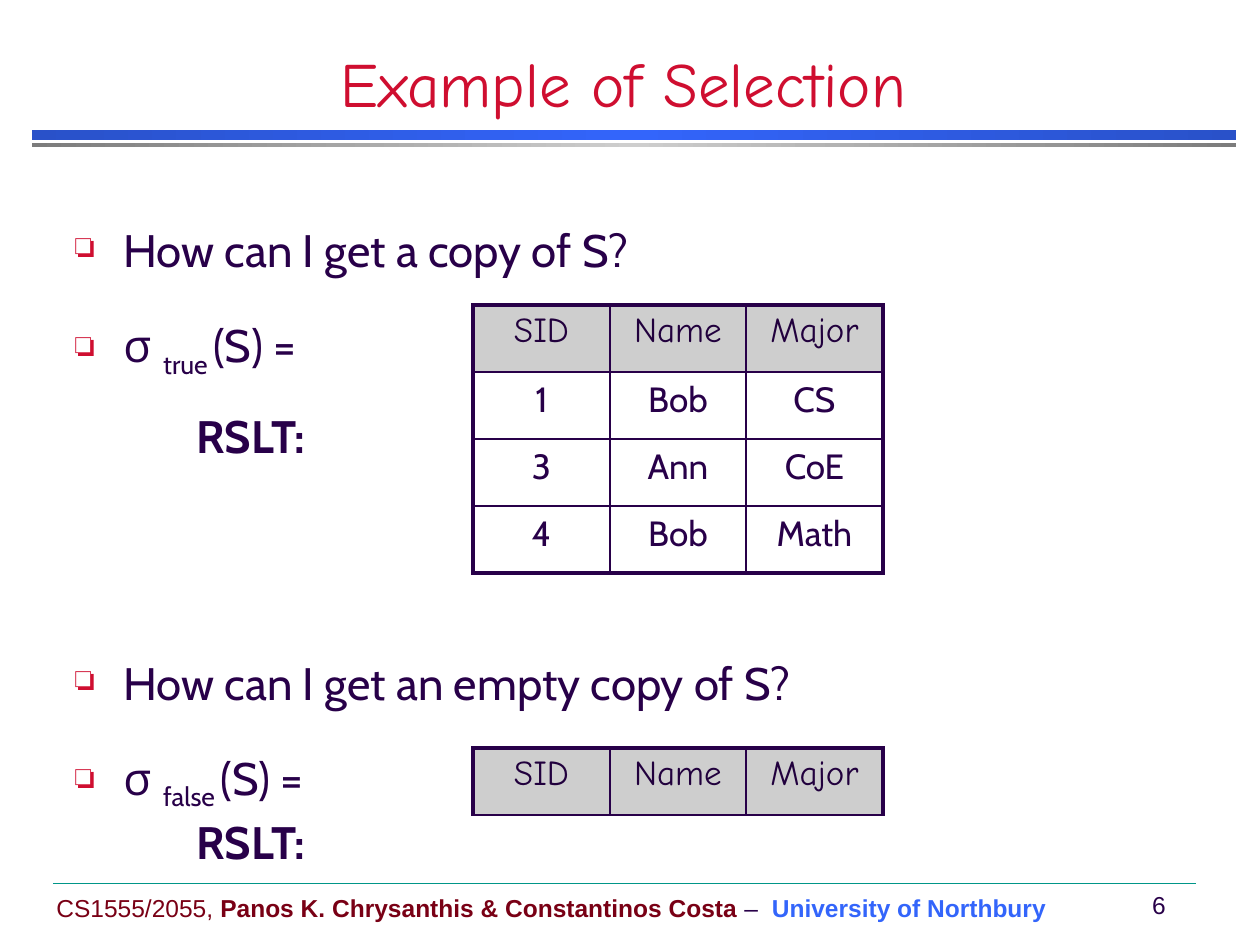
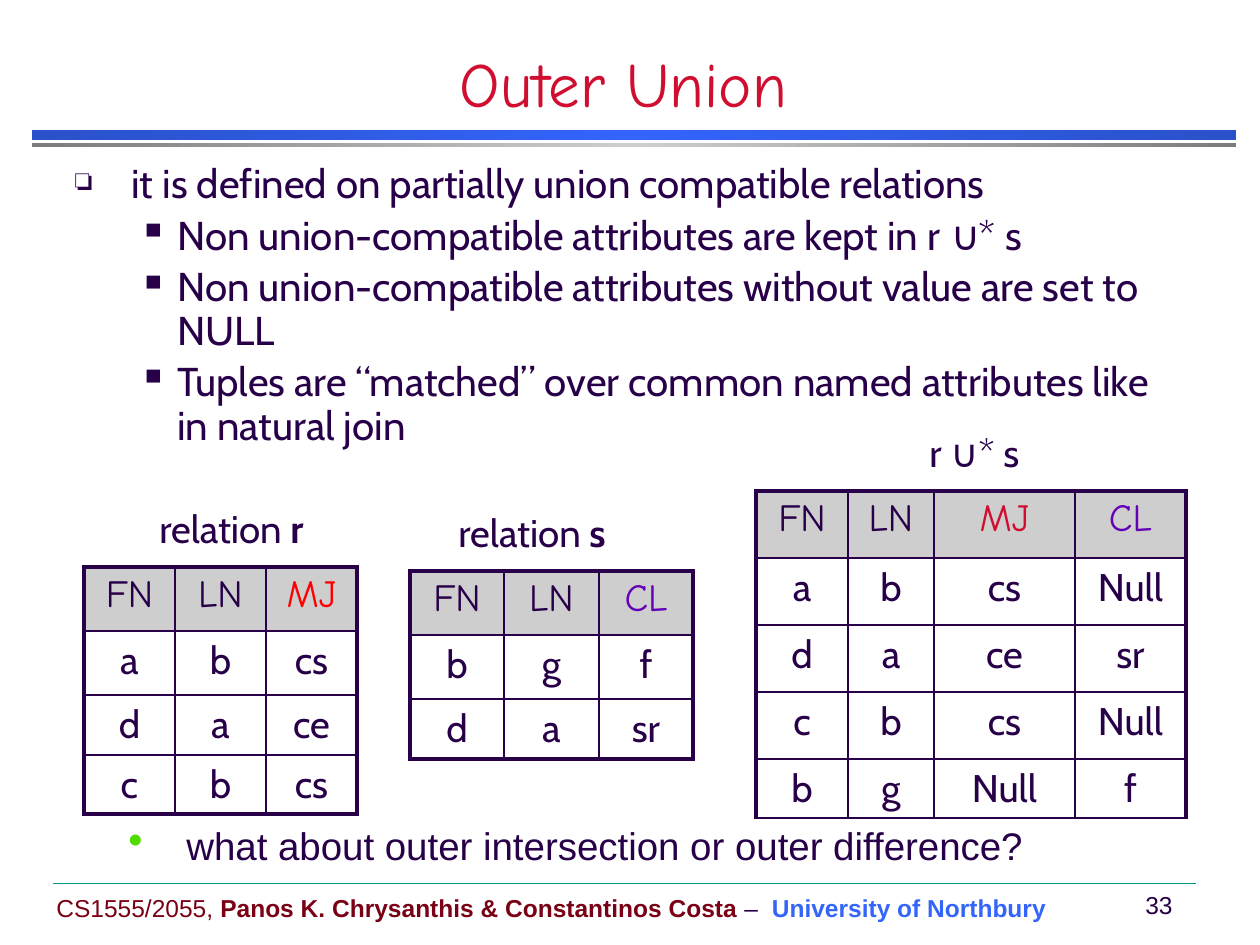
from copy import deepcopy
from dataclasses import dataclass, replace

from lxml.etree import SubElement
from pptx import Presentation
from pptx.dml.color import RGBColor
from pptx.enum.shapes import MSO_CONNECTOR, MSO_SHAPE
from pptx.enum.text import MSO_ANCHOR, PP_ALIGN
from pptx.oxml.ns import qn
from pptx.util import Emu, Pt


@dataclass(frozen=True)
class Theme:
    ink: str = "280049"
    header_ink: str = "21003D"
    red: str = "CF0E30"
    bright_red: str = "FF0000"
    purple: str = "6400B6"
    green: str = "51DC00"
    maroon: str = "790015"
    blue: str = "3365FB"
    deep_blue: str = "2951C9"
    silver: str = "CECECE"
    gray: str = "7C7C7C"
    teal: str = "009688"
    heading_font: str = "Comic Neue"
    body_font: str = "Cabin"
    symbol_font: str = "Open Sans"
    footer_font: str = "Arial"
    title_size: int = 36
    large_size: int = 26
    outline_size: int = 23
    label_size: int = 22
    cell_size: int = 20
    footer_size: int = 14
    thick: float = 2.25
    thin: float = 1
    hairline: float = 0.25


THEME = Theme()


@dataclass(frozen=True)
class Run:
    text: str
    size: int = THEME.label_size
    font: str = THEME.body_font
    color: str = THEME.ink
    bold: bool = False
    baseline: int = 0


@dataclass(frozen=True)
class Bullet:
    character: str
    color: str
    margin: int
    hanging: int
    percent: int = 100
    level: int = 0


class Deck:
    """Draws course slides in one style, measured in pixels."""

    scale = 914400 // 126

    def __init__(self, theme):
        self.theme = theme
        self.presentation = Presentation()
        self.presentation.slide_width = self.length(1260)
        self.presentation.slide_height = self.length(945)
        self.slide = None

    def length(self, pixels):
        return Emu(pixels * self.scale)

    def box(self, *pixels):
        return [self.length(value) for value in pixels]

    def add_slide(self, title, number):
        theme = self.theme
        self.slide = self.presentation.slides.add_slide(self.presentation.slide_layouts[6])
        self.band(130, 10, theme.deep_blue, theme.blue)
        self.band(143, 4, theme.gray, theme.silver)
        self.rule(53, 883, 1196)
        footer = Run("CS1555/2055, ", theme.footer_size, theme.footer_font, theme.maroon)
        authors = "Panos K. Chrysanthis & Constantinos Costa"
        self.text((44, 889, 1022, 38), [
            footer,
            replace(footer, text=authors, bold=True),
            replace(footer, text=" –  ", color=theme.ink),
            replace(footer, text="University of Northbury", color=theme.blue, bold=True),
        ], wrap=False, anchor=MSO_ANCHOR.MIDDLE)
        self.text((1128, 884, 62, 42), [replace(footer, text=str(number), color=theme.ink)],
                  wrap=False, anchor=MSO_ANCHOR.MIDDLE, align=PP_ALIGN.CENTER)
        self.text((0, 53, 1247, 73),
                  [Run(title, theme.title_size, theme.heading_font, theme.red)],
                  anchor=MSO_ANCHOR.BOTTOM, align=PP_ALIGN.CENTER)

    def band(self, top, height, edge, middle):
        shape = self.slide.shapes.add_shape(MSO_SHAPE.RECTANGLE, *self.box(32, top, 1204, height))
        shape.shadow.inherit = False
        shape.line.fill.background()
        shape.fill.gradient()
        shape.fill.gradient_angle = 0
        stops = shape._element.spPr.find(qn("a:gradFill")).find(qn("a:gsLst"))
        stops.append(deepcopy(stops[0]))
        for index, (stop, color) in enumerate(zip(shape.fill.gradient_stops, (edge, middle, edge))):
            stop.position = index / 2
            stop.color.rgb = RGBColor.from_string(color)

    def rule(self, left, top, right):
        line = self.slide.shapes.add_connector(
            MSO_CONNECTOR.STRAIGHT, *self.box(left, top, right, top))
        line.line.color.rgb = RGBColor.from_string(self.theme.teal)
        line.line.width = Pt(self.theme.hairline)
        SubElement(line._element.spPr, qn("a:effectLst"))

    def frame(self, area, wrap=True, anchor=MSO_ANCHOR.TOP):
        frame = self.slide.shapes.add_textbox(*self.box(*area)).text_frame
        frame.word_wrap = wrap
        frame.vertical_anchor = anchor
        return frame

    def text(self, area, runs, wrap=True, anchor=MSO_ANCHOR.TOP, **style):
        self.fill(self.frame(area, wrap, anchor).paragraphs[0], runs, **style)

    def label(self, area, *runs):
        self.text(area, runs, wrap=False, spacing=0.9, before=runs[0].size * 0.2)

    def outline(self, area, items, spacing):
        frame = self.frame(area)
        for index, (bullet, before, runs) in enumerate(items):
            paragraph = frame.add_paragraph() if index else frame.paragraphs[0]
            self.fill(paragraph, runs, spacing=spacing, before=before, bullet=bullet)

    def fill(self, paragraph, runs, align=PP_ALIGN.LEFT, spacing=1.0, before=0, bullet=None):
        paragraph.alignment = align
        paragraph.line_spacing = spacing
        paragraph.space_before = Pt(before)
        if bullet:
            self.bullet(paragraph, bullet)
        for part in runs:
            run = paragraph.add_run()
            run.text = part.text
            run.font.size = Pt(part.size)
            run.font.name = part.font
            run.font.bold = part.bold
            run.font.color.rgb = RGBColor.from_string(part.color)
            if part.baseline:
                run._r.get_or_add_rPr().set("baseline", str(part.baseline * 1000))

    def bullet(self, paragraph, bullet):
        paragraph.level = bullet.level
        properties = paragraph._p.get_or_add_pPr()
        properties.set("marL", str(self.length(bullet.margin)))
        properties.set("indent", str(self.length(-bullet.hanging)))
        color = SubElement(properties, qn("a:buClr"))
        SubElement(color, qn("a:srgbClr"), val=bullet.color)
        SubElement(properties, qn("a:buSzPct"), val=str(bullet.percent * 1000))
        SubElement(properties, qn("a:buChar"), char=bullet.character)

    def table(self, left, top, widths, heights, rows, size, header_colors, bottom=None):
        theme = self.theme
        area = self.box(left, top, sum(widths), sum(heights))
        table = self.slide.shapes.add_table(len(rows), len(widths), *area).table
        table.first_row = table.horz_banding = False
        for column, width in zip(table.columns, widths):
            column.width = self.length(width)
        for row, height in zip(table.rows, heights):
            row.height = self.length(height)
        last_row, last_column = len(rows) - 1, len(widths) - 1
        for y, values in enumerate(rows):
            for x, value in enumerate(values):
                cell = table.cell(y, x)
                self.border(cell, "L", theme.thin if x else theme.thick)
                self.border(cell, "R", theme.thin if x < last_column else theme.thick)
                self.border(cell, "T", theme.thin if y else theme.thick)
                self.border(cell, "B", theme.thin if y < last_row else bottom or theme.thick)
                run = Run(value, size)
                if y:
                    cell.fill.background()
                else:
                    cell.fill.solid()
                    cell.fill.fore_color.rgb = RGBColor.from_string(theme.silver)
                    run = replace(run, font=theme.heading_font, color=header_colors[x])
                self.fill(cell.text_frame.paragraphs[0], [run],
                          align=PP_ALIGN.CENTER, before=size * 0.2)

    def border(self, cell, side, width):
        properties = cell._tc.get_or_add_tcPr()
        line = SubElement(properties, qn("a:ln" + side), w=str(Pt(width)))
        SubElement(SubElement(line, qn("a:solidFill")), qn("a:srgbClr"), val=self.theme.ink)


def selection_slide(deck):
    theme = deck.theme
    deck.add_slide("Example of Selection", 6)
    box = Bullet("❏", theme.red, 48, 48, 75)
    size = theme.large_size
    gap = size * 0.2

    def formula(condition):
        return [
            Run("σ ", size, theme.symbol_font),
            Run(condition + " ", size, baseline=-25),
            Run("(S) =", size),
        ]

    deck.outline((63, 189, 1155, 703), [
        (box, gap, [Run("How can I get a copy of S?", size)]),
        (box, gap, formula("true")),
        (box, 142, [Run("How can I get an empty copy of S?", size)]),
        (box, gap, formula("false")),
    ], 1.5)
    header = ("SID", "Name", "Major")
    students = [header, ("1", "Bob", "CS"), ("3", "Ann", "CoE"), ("4", "Bob", "Math")]
    for top, label_top, rows, bottom in (
        (305, 408, students, theme.thick),
        (748, 814, [header], theme.thin),
    ):
        deck.table(473, top, (137, 136, 137), [67] * len(rows), rows,
                   theme.cell_size, [theme.header_ink] * 3, bottom)
        deck.label((184, label_top, 159, 62), Run("RSLT:", size, bold=True))


def outer_union_slide(deck):
    theme = deck.theme
    deck.add_slide("Outer Union", 33)
    size = theme.outline_size
    box = Bullet("❏", theme.ink, 56, 56, 75)
    square = Bullet("▪", theme.ink, 102, 39, level=1)
    lines = [
        (box, "it is defined on partially union compatible relations"),
        (square, "Non union-compatible attributes are kept in r ∪* s"),
        (square, "Non union-compatible attributes without value are set to NULL"),
        (square, "Tuples are “matched” over common named attributes like in natural join"),
    ]
    deck.outline((63, 158, 1124, 334),
                 [(bullet, size * 0.2, [Run(line, size)]) for bullet, line in lines], 0.9)
    size = theme.label_size
    question = Run("what about outer intersection or outer difference?", size, theme.footer_font)
    dot = Bullet("•", theme.green, 58, 58, 110)
    deck.outline((116, 821, 1071, 73), [(dot, size * 0.2, [question])], 0.9)

    deck.table(84, 567, (91, 91, 91), (64, 64, 60, 59),
               [("FN", "LN", "MJ"), "a b cs".split(), "d a ce".split(), "c b cs".split()],
               size, (theme.ink, theme.ink, theme.bright_red))
    deck.table(410, 571, (94, 95, 94), (64, 64, 60),
               [("FN", "LN", "CL"), "b g f".split(), "d a sr".split()],
               size, (theme.ink, theme.ink, theme.purple))
    deck.table(756, 491, (92, 86, 141, 111), (67, 67, 67, 67, 59),
               [("FN", "LN", "MJ", "CL"), "a b cs Null".split(), "d a ce sr".split(),
                "c b cs Null".split(), "b g Null f".split()],
               size, (theme.ink, theme.ink, theme.red, theme.purple), theme.thin)
    for area, name in (((147, 504, 181, 59), "r"), ((446, 508, 184, 59), "s")):
        deck.label(area, Run("relation "), Run(name, bold=True))
    deck.label((917, 428, 132, 55), Run("r ∪* s"))


deck = Deck(THEME)
selection_slide(deck)
outer_union_slide(deck)
deck.presentation.save("out.pptx")
